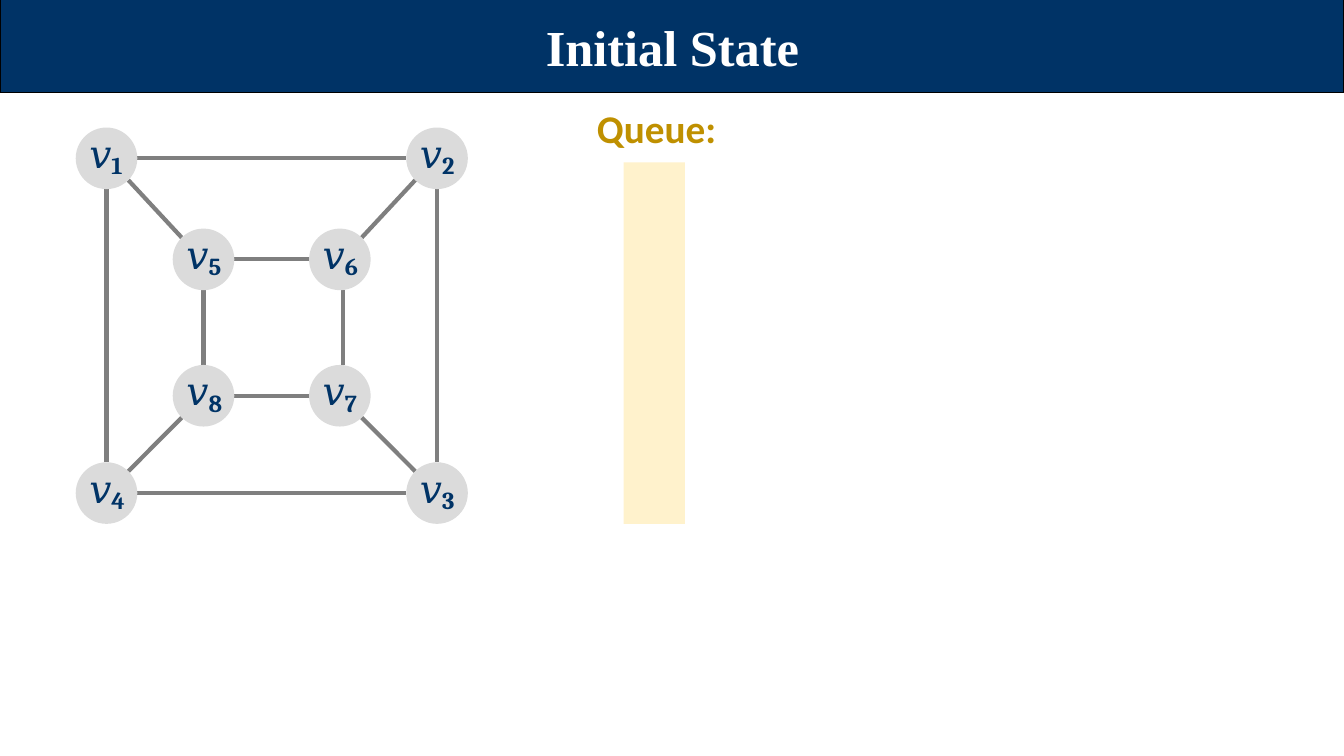
from dataclasses import dataclass
from math import hypot

from lxml.etree import SubElement
from pptx import Presentation
from pptx.dml.color import RGBColor
from pptx.enum.shapes import MSO_CONNECTOR, MSO_SHAPE
from pptx.enum.text import MSO_ANCHOR, PP_ALIGN
from pptx.oxml.ns import qn
from pptx.util import Pt

WIDTH, HEIGHT = 960, 540
RADIUS = 22
COLORS = {
    "navy": "003366",
    "white": "FFFFFF",
    "black": "000000",
    "node": "DBDBDB",
    "edge": "7F7F7F",
    "gold": "BF9000",
    "queue": "FFF2CC",
}


@dataclass
class Node:
    x: float
    y: float


@dataclass
class Edge:
    start: int
    end: int
    shift: float = 0


LEFT, RIGHT, TOP, BOTTOM = 76.1, 312.2, 113.1, 352.2
IN_LEFT, IN_RIGHT, IN_TOP, IN_BOTTOM = 145.4, 242.8, 185.3, 282.7
NODES = {
    1: Node(LEFT, TOP),
    2: Node(RIGHT, TOP),
    3: Node(RIGHT, BOTTOM),
    4: Node(LEFT, BOTTOM),
    5: Node(IN_LEFT, IN_TOP),
    6: Node(IN_RIGHT, IN_TOP),
    7: Node(IN_RIGHT, IN_BOTTOM),
    8: Node(IN_LEFT, IN_BOTTOM),
}
EDGES = [
    Edge(1, 2), Edge(2, 3), Edge(3, 4), Edge(4, 1),
    Edge(5, 6), Edge(6, 7, shift=2), Edge(7, 8), Edge(8, 5),
    Edge(1, 5), Edge(2, 6), Edge(3, 7), Edge(4, 8),
]


def color(name: str) -> RGBColor:
    return RGBColor.from_string(COLORS[name])


def add_block(slide, kind, x: float, y: float, w: float, h: float, fill: str):
    shape = slide.shapes.add_shape(kind, Pt(x), Pt(y), Pt(w), Pt(h))
    shape.shadow.inherit = False
    shape.fill.solid()
    shape.fill.fore_color.rgb = color(fill)
    shape.line.fill.background()
    return shape


def set_frame(frame, left: float) -> None:
    frame.word_wrap = True
    frame.margin_left, frame.margin_top = Pt(left), Pt(0.95)
    frame.margin_right = frame.margin_bottom = 0


def set_font(font, name: str, tint: str) -> None:
    font.name, font.bold = name, True
    font.color.rgb = color(tint)


def add_label(slide, x: float, y: float, w: float, left: float):
    """Add an empty one-line text box and return its paragraph."""
    box = slide.shapes.add_textbox(Pt(x), Pt(y), Pt(w), Pt(35.3))
    set_frame(box.text_frame, left)
    return box.text_frame.paragraphs[0]


def add_title(slide) -> None:
    bar = add_block(slide, MSO_SHAPE.RECTANGLE, 0, 0, WIDTH, 66.4, "navy")
    bar.line.color.rgb = color("black")
    bar.line.width = Pt(0.75)
    title = slide.shapes.title
    bar._element.getparent().append(title._element)
    title.left, title.top = Pt(376.6), Pt(9.6)
    title.width, title.height = Pt(206.6), Pt(45.4)
    frame = title.text_frame
    frame.text = "Initial State"
    set_frame(frame, 0.9)
    frame.vertical_anchor = MSO_ANCHOR.MIDDLE
    line = frame.paragraphs[0]
    line.alignment = PP_ALIGN.CENTER
    line.font.size = Pt(36)
    set_font(line.font, "Times New Roman", "white")


def add_edge(slide, edge: Edge) -> None:
    """Draw an edge between rims, leaving at a multiple of 45 degrees."""
    a, b = NODES[edge.start], NODES[edge.end]
    dx = (b.x > a.x) - (b.x < a.x)
    dy = (b.y > a.y) - (b.y < a.y)
    step = RADIUS / hypot(dx, dy)
    line = slide.shapes.add_connector(
        MSO_CONNECTOR.STRAIGHT,
        Pt(a.x + dx * step + edge.shift), Pt(a.y + dy * step),
        Pt(b.x - dx * step + edge.shift), Pt(b.y - dy * step),
    )
    line.line.color.rgb = color("edge")
    line.line.width = Pt(3)
    SubElement(line._element.spPr, qn("a:effectLst"))


def add_node(slide, number: int, node: Node) -> None:
    add_block(slide, MSO_SHAPE.OVAL, node.x - RADIUS, node.y - RADIUS,
              2 * RADIUS, 2 * RADIUS, "node")
    label = add_label(slide, node.x - 15, node.y - 23.8, 32.4, 2.7)
    set_font(label.font, "Cambria", "navy")
    for text, size in (("𝑣", 28), (str(number), 30)):
        run = label.add_run()
        run.text = text
        run.font.size = Pt(size)
    run.font._element.set("baseline", "-15000")


def add_queue(slide) -> None:
    add_block(slide, MSO_SHAPE.RECTANGLE, 445.4, 116, 43.8, 258.2, "queue")
    label = add_label(slide, 425.5, 73.6, 87.1, 0.9)
    label.text = "Queue:"
    label.font.size = Pt(28)
    set_font(label.font, "Calibri", "gold")


def main() -> None:
    deck = Presentation()
    deck.slide_width, deck.slide_height = Pt(WIDTH), Pt(HEIGHT)
    slide = deck.slides.add_slide(deck.slide_layouts[5])
    add_title(slide)
    for edge in EDGES:
        add_edge(slide, edge)
    for number, node in NODES.items():
        add_node(slide, number, node)
    add_queue(slide)
    deck.save("out.pptx")


if __name__ == "__main__":
    main()
